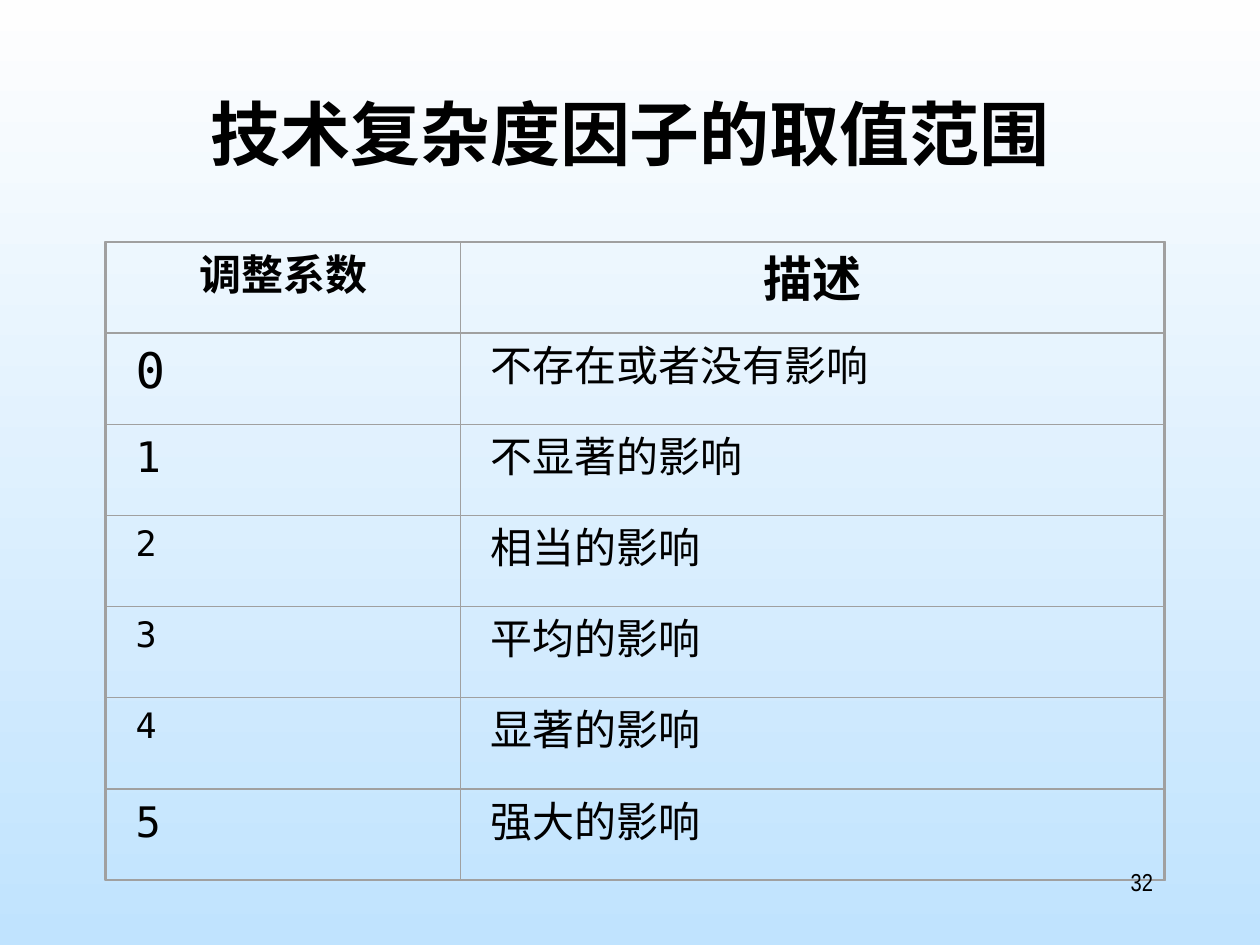
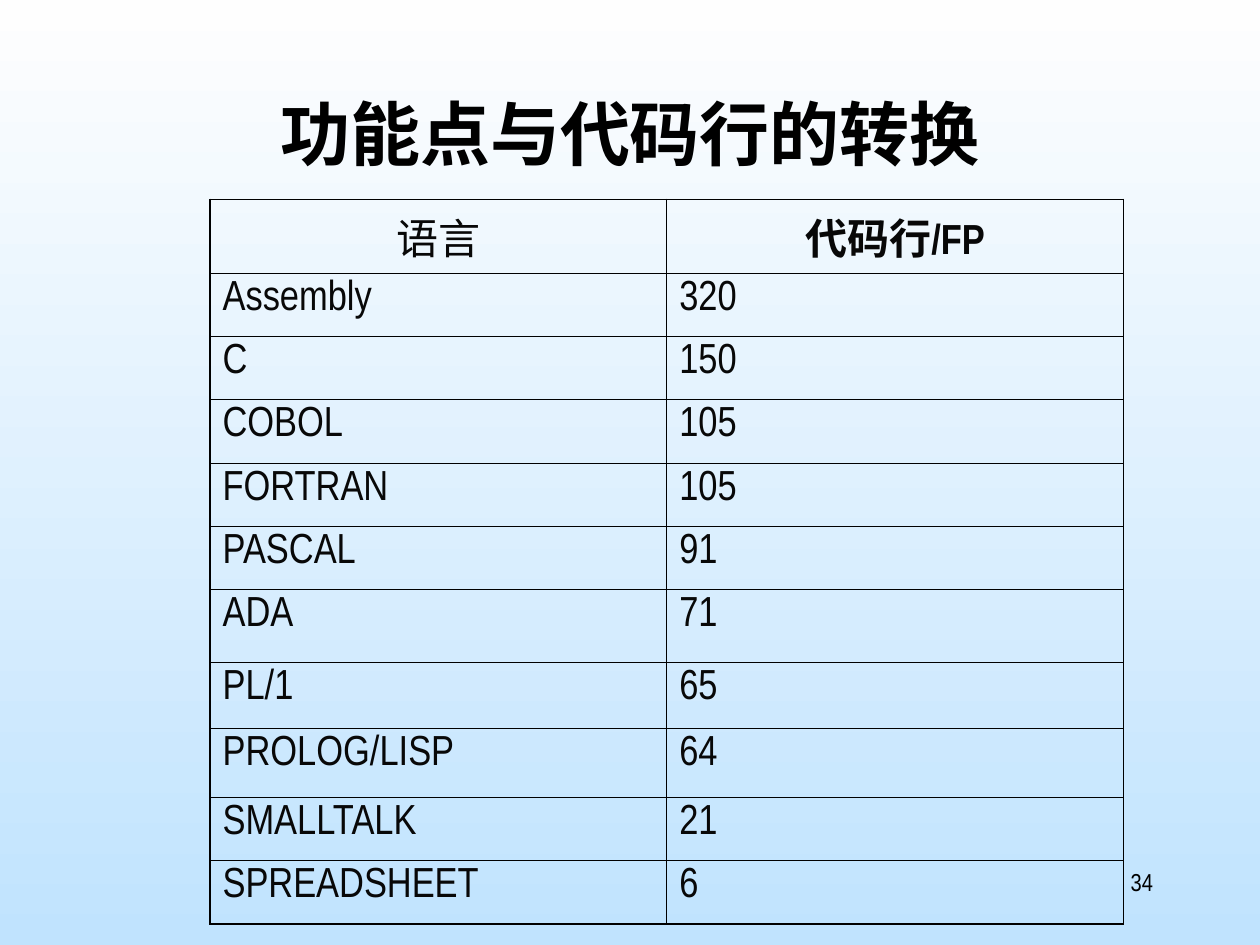
from pptx import Presentation
from pptx.dml.color import RGBColor
from pptx.enum import shapes, text as t
from pptx.oxml import parse_xml
from pptx.oxml.ns import nsdecls, qn
from pptx.util import Pt

BLACK = RGBColor(0, 0, 0)
INK = RGBColor(8, 8, 8)
GREY = RGBColor(0xA0, 0xA0, 0xA0)
PALE = RGBColor(0xFE, 0xFE, 0xFE)
SKY = RGBColor(0xC0, 0xE3, 0xFE)

HAN = "Noto Sans CJK SC"
MONO = "DejaVu Sans Mono"
SLIM = "Arial Narrow"

LEFT, MID, RIGHT = t.PP_ALIGN.LEFT, t.PP_ALIGN.CENTER, t.PP_ALIGN.RIGHT
FULL = t.PP_ALIGN.JUSTIFY
HEAD = dict(bold=True, align=MID)

FACTORS = [
    ("0", 28, "不存在或者没有影响"),
    ("1", 24, "不显著的影响"),
    ("2", 20, "相当的影响"),
    ("3", 20, "平均的影响"),
    ("4", 20, "显著的影响"),
    ("5", 24, "强大的影响"),
]
LINES = [
    ("Assembly", 320), ("C", 150), ("COBOL", 105), ("FORTRAN", 105),
    ("PASCAL", 91), ("ADA", 71), ("PL/1", 65), ("PROLOG/LISP", 64),
    ("SMALLTALK", 21), ("SPREADSHEET", 6),
]


def write(frame, words, size, face, color=BLACK, bold=False, align=LEFT):
    para = frame.paragraphs[0]
    run = para.add_run()
    run.text = words
    para.alignment = align
    font = run.font
    font.size, font.name, font.bold = Pt(size), face, bold
    font.color.rgb = color
    east = parse_xml(f'<a:ea {nsdecls("a")} typeface="{HAN}"/>')
    font._element.find(qn("a:latin")).addnext(east)


def label(slide, box, words, size, face, **style):
    frame = slide.shapes.add_textbox(*map(Pt, box)).text_frame
    frame.word_wrap = True
    write(frame, words, size, face, **style)


def outline(slide, box, width):
    rect = slide.shapes.add_shape(
        shapes.MSO_SHAPE.RECTANGLE, *map(Pt, box))
    rect.shadow.inherit = False
    rect.fill.background()
    rect.line.color.rgb = GREY
    rect.line.width = Pt(width)


def edge(cell, side, width, color):
    line = parse_xml(
        f'<a:ln{side} {nsdecls("a")} w="{Pt(width)}"><a:solidFill>'
        f'<a:srgbClr val="{color}"/></a:solidFill></a:ln{side}>')
    cell._tc.get_or_add_tcPr().append(line)


def start(deck, title):
    slide = deck.slides.add_slide(deck.slide_layouts[6])
    fill = slide.background.fill
    fill.gradient()
    fill.gradient_angle = 270
    for stop, color, place in zip(fill.gradient_stops, (PALE, SKY), (0, 1)):
        stop.color.rgb = color
        stop.position = place
    label(slide, (54, 48, 612, 90), title, 40, HAN, **HEAD)
    return slide


def finish(slide, number):
    label(slide, (516, 492, 150, 36), number, 14, SLIM, align=RIGHT)


def factors(deck):
    slide = start(deck, "技术复杂度因子的取值范围")
    top, high, pad = 138.25, 52.1, 9.75
    cols = [(60.75, 202.5), (263.25, 402)]
    rows = [[("调整系数", 24, HAN, HEAD), ("描述", 28, HAN, HEAD)]]
    body = dict(align=FULL)
    rows += [[(mark, size, MONO, body), (note, 24, HAN, body)]
             for mark, size, note in FACTORS]
    for y, row in enumerate(rows):
        level = top + y * high
        for (left, wide), (words, size, face, style) in zip(cols, row):
            label(slide, (left + pad, level, wide - 2 * pad, high),
                  words, size, face, **style)
            outline(slide, (left, level, wide, high), 0)
    outline(slide, (60, top, 606, len(rows) * high), 0.75)
    finish(slide, "32")


def lines(deck):
    slide = start(deck, "功能点与代码行的转换")
    highs = [42.2] + [36.15] * 5 + [41.75, 37.5, 39.5] + [36.15] * 2
    cells = [[("语言", HAN, dict(align=MID)), ("代码行/FP", SLIM, HEAD)]]
    cells += [[(name, SLIM, {}), (str(count), SLIM, {})]
              for name, count in LINES]
    table = slide.shapes.add_table(
        len(cells), 2, *map(Pt, (120, 114, 522, sum(highs)))).table
    table.first_row = table.horz_banding = False
    for row, high in zip(table.rows, highs):
        row.height = Pt(high)
    for y, row in enumerate(cells):
        for x, (words, face, style) in enumerate(row):
            cell = table.cell(y, x)
            cell.margin_left = cell.margin_right = Pt(7.2)
            cell.margin_top = cell.margin_bottom = Pt(3.6)
            outer = {"L": x == 0, "R": x == 1,
                     "T": y == 0, "B": y == len(cells) - 1}
            for side, out in outer.items():
                edge(cell, side, 1.08 if out else 0.45, BLACK)
            cell.fill.background()
            write(cell.text_frame, words, 24, face, INK, **style)
    finish(slide, "34")


def main():
    deck = Presentation()
    deck.slide_width, deck.slide_height = Pt(720), Pt(540)
    factors(deck)
    lines(deck)
    deck.save("out.pptx")


if __name__ == "__main__":
    main()
